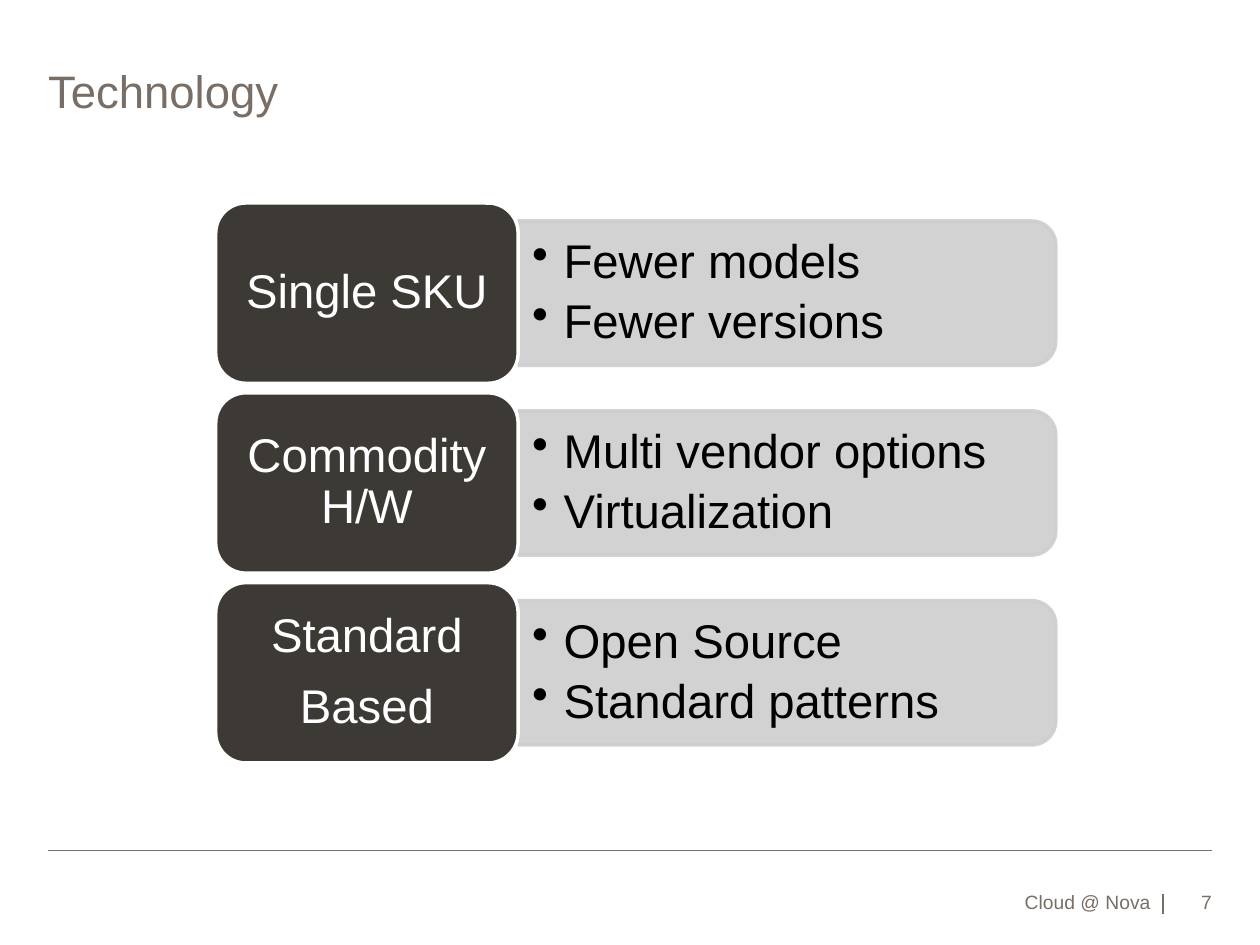
import lxml.etree
import pptx
import pptx.dml.color
import pptx.enum.shapes
import pptx.enum.text
import pptx.oxml.ns
import pptx.util

Pt = pptx.util.Pt
qn = pptx.oxml.ns.qn
SHAPES = pptx.enum.shapes.MSO_SHAPE
ALIGN = pptx.enum.text.PP_ALIGN
ANCHOR = pptx.enum.text.MSO_ANCHOR
COLORS = {
    "taupe": "796E65",
    "card": "3D3935",
    "panel": "CECECE",
    "white": "FFFFFF",
    "black": "000000",
}
ROWS = [
    (["Single SKU"], ["Fewer models", "Fewer versions"]),
    (["Commodity H/W"], ["Multi vendor options", "Virtualization"]),
    (["Standard", "Based"], ["Open Source", "Standard patterns"]),
]


def rgb(name):
    return pptx.dml.color.RGBColor.from_string(COLORS[name])


def write_text(shape, lines, size, color, align=ALIGN.LEFT, anchor=ANCHOR.TOP,
               insets=(0, 0, 0, 0), spacing=None, after=0, bullets=False):
    frame = shape.text_frame
    frame.word_wrap = True
    frame.vertical_anchor = anchor
    frame.margin_left, frame.margin_top, frame.margin_right, frame.margin_bottom = map(Pt, insets)
    for index, line in enumerate(lines):
        paragraph = frame.paragraphs[0] if index == 0 else frame.add_paragraph()
        paragraph.alignment = align
        paragraph.line_spacing = spacing
        paragraph.space_after = Pt(after)
        if bullets:
            properties = paragraph._p.get_or_add_pPr()
            properties.set("marL", str(Pt(18)))
            properties.set("indent", str(-Pt(18)))
            lxml.etree.SubElement(properties, qn("a:buChar"), char="•")
        run = paragraph.add_run()
        run.text = line
        run.font.name = "Arial"
        run.font.size = Pt(size)
        run.font.color.rgb = rgb(color)


def add_text(slide, box, lines, size, color, **options):
    shape = slide.shapes.add_textbox(*map(Pt, box))
    write_text(shape, lines, size, color, **options)


def add_block(slide, kind, box, fill, line):
    shape = slide.shapes.add_shape(kind, *map(Pt, box))
    shape.shadow.inherit = False
    shape.fill.solid()
    shape.fill.fore_color.rgb = rgb(fill)
    shape.line.color.rgb = rgb(line)
    shape.line.width = Pt(2)
    return shape


def add_rule(slide, x1, y1, x2, y2):
    rule = slide.shapes.add_connector(
        pptx.enum.shapes.MSO_CONNECTOR.STRAIGHT, Pt(x1), Pt(y1), Pt(x2), Pt(y2))
    rule.line.color.rgb = rgb("taupe")
    rule.line.width = Pt(1)
    lxml.etree.SubElement(rule._element.spPr, qn("a:effectLst"))


def add_panel(slide, box, bullets):
    left, top, width, height = box
    turned_box = (left + (width - height) / 2, top + (height - width) / 2, height, width)
    panel = add_block(slide, SHAPES.ROUND_2_SAME_RECTANGLE, turned_box, "panel", "panel")
    panel.rotation = 90
    for color in panel._element.spPr.iter(qn("a:srgbClr")):
        lxml.etree.SubElement(color, qn("a:alpha"), val="90000")
    add_text(slide, (left, top + 4, width - 4, height - 8), bullets, 27, "black",
             anchor=ANCHOR.MIDDLE, insets=(8, 4, 8, 4), spacing=0.9, after=5, bullets=True)


def add_row(slide, box, label, bullets):
    left, top, width, height = box
    card_width = width * 0.36
    inset = height / 10
    add_panel(slide, (left + card_width, top + inset, width - card_width, height - 2 * inset), bullets)
    card = add_block(slide, SHAPES.ROUNDED_RECTANGLE, (left, top, card_width, height), "card", "white")
    write_text(card, label, 27, "white", align=ALIGN.CENTER, anchor=ANCHOR.MIDDLE,
               insets=(8, 4, 8, 4), spacing=0.9, after=11)


def add_diagram(slide, box, rows):
    left, top, width, height = box
    pitch = height / (len(rows) - 0.05)
    for index, (label, bullets) in enumerate(rows):
        add_row(slide, (left, top + index * pitch, width, pitch * 0.95), label, bullets)


def add_footer(slide, box, source, number):
    left, top, width, height = box
    right, bottom = left + width, top + height
    divider = right - 28
    add_rule(slide, left, top, right, top)
    add_rule(slide, divider, bottom - 11, divider, bottom)
    style = dict(align=ALIGN.RIGHT, anchor=ANCHOR.BOTTOM, insets=(0, 3.6, 0, 0))
    add_text(slide, (divider - 271, bottom - 20, 264, 20), [source], 11, "taupe", **style)
    add_text(slide, (divider, bottom - 20, 28, 20), [number], 11, "taupe", **style)


def main():
    presentation = pptx.Presentation()
    presentation.slide_width = Pt(720)
    presentation.slide_height = Pt(540)
    slide = presentation.slides.add_slide(presentation.slide_layouts[6])
    add_text(slide, (27.5, 36, 665, 72.5), ["Technology"], 26, "taupe")
    add_diagram(slide, (123.3, 116, 480, 320), ROWS)
    add_footer(slide, (27.5, 486, 665, 36), "Cloud @ Nova", "7")
    presentation.save("out.pptx")


if __name__ == "__main__":
    main()
